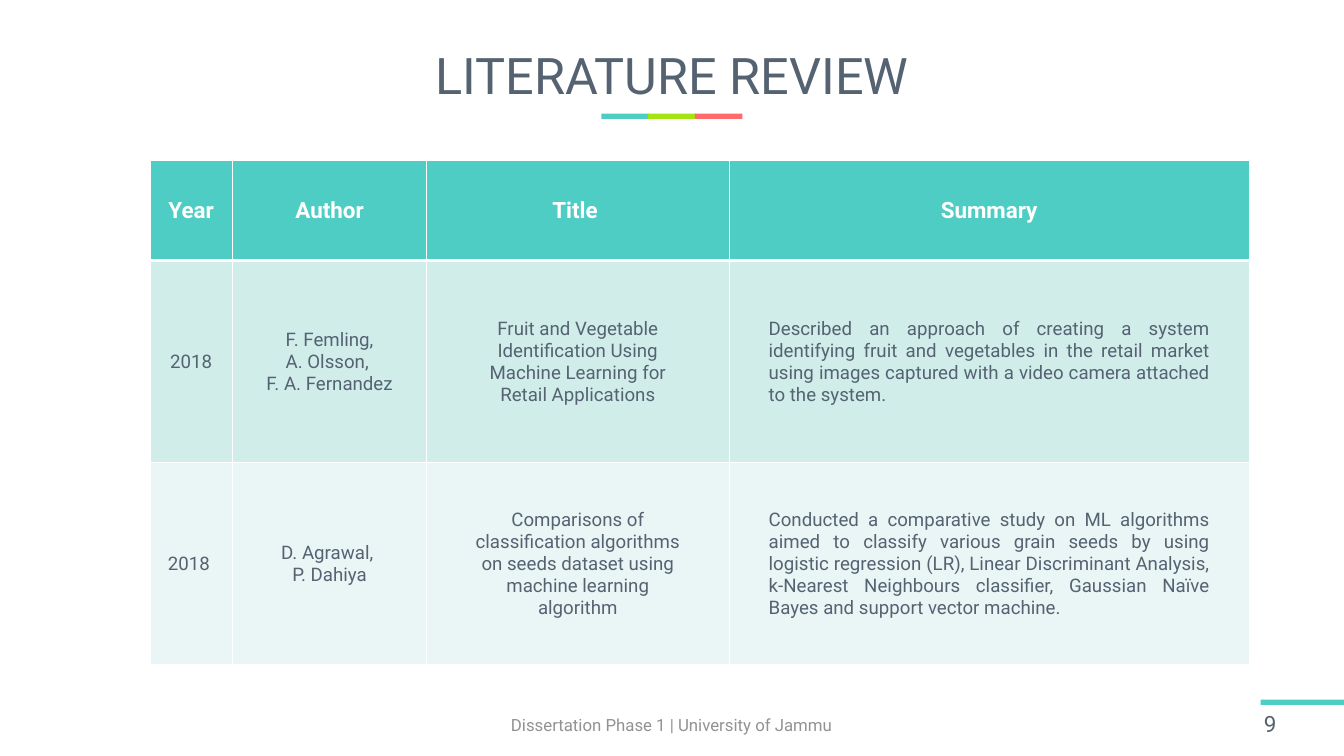
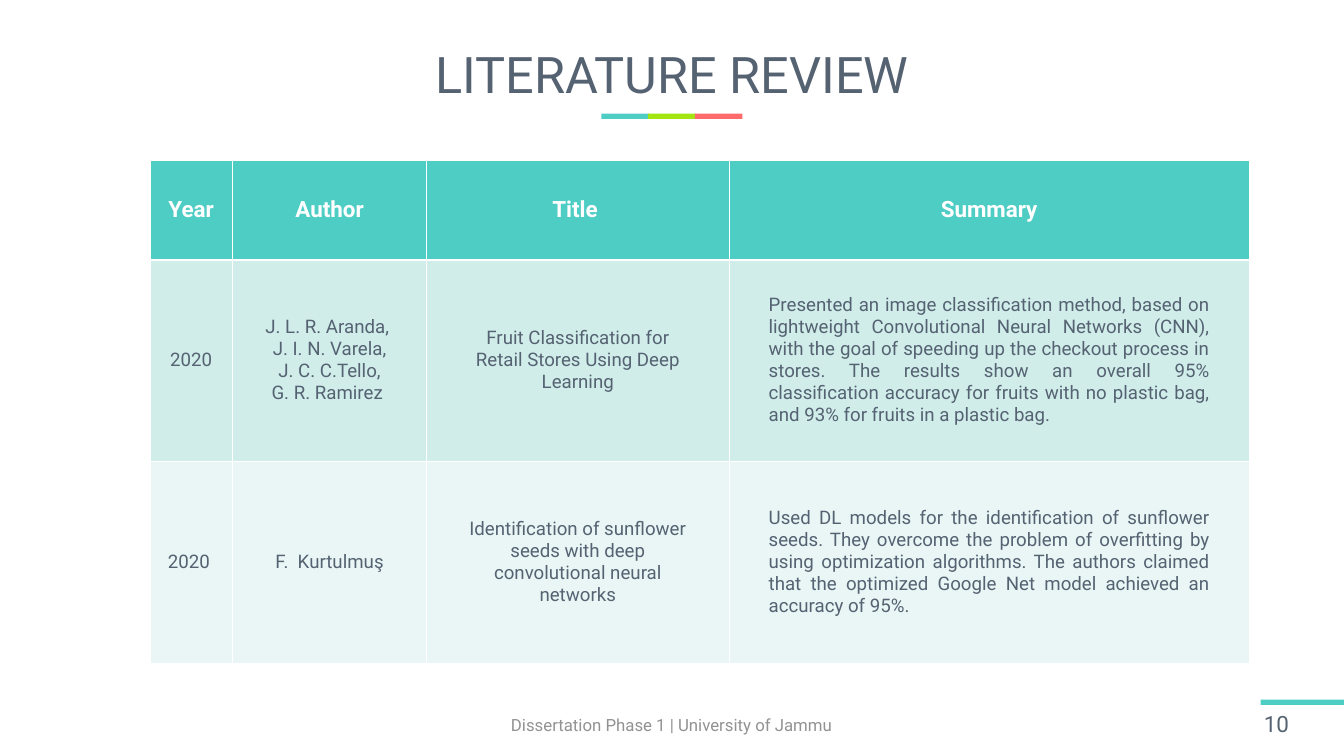
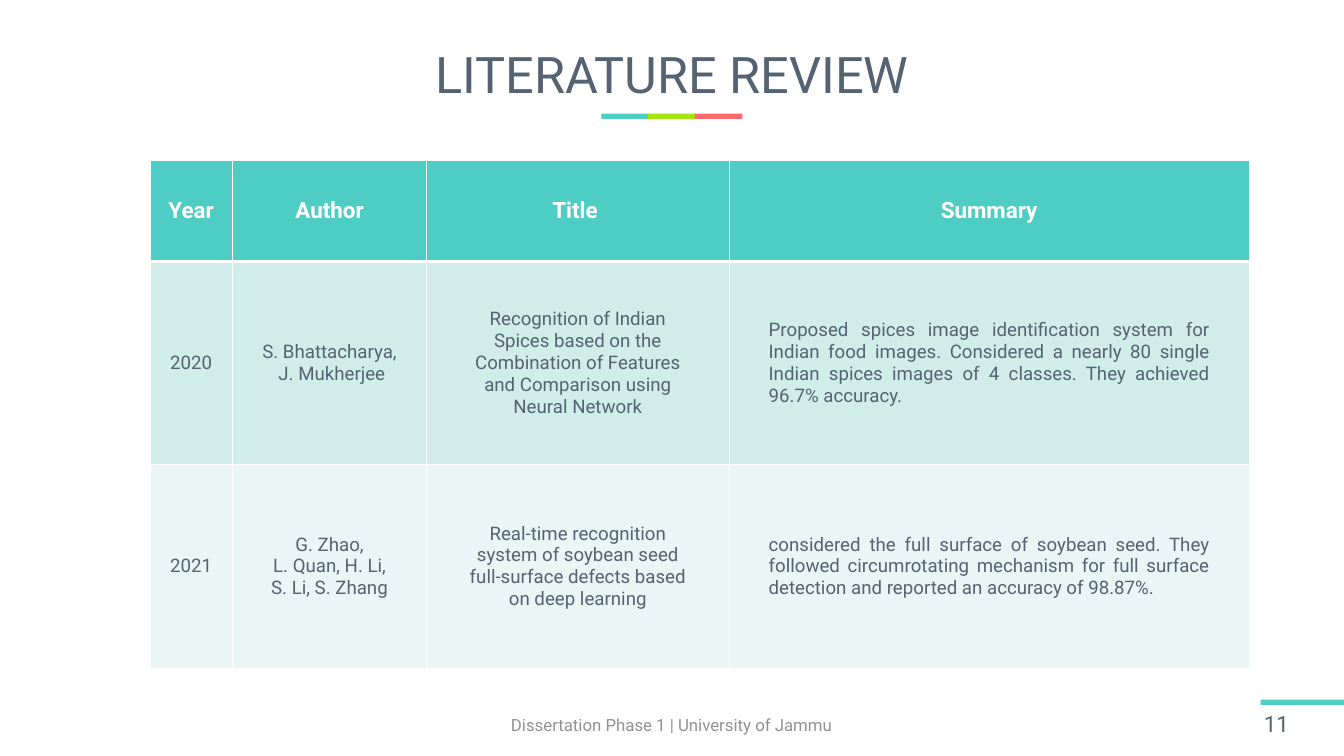
import pptx
import pptx.dml.color
import pptx.enum.shapes
import pptx.enum.text
import pptx.oxml
import pptx.oxml.ns
import pptx.util

Pt = pptx.util.Pt
ALIGN = pptx.enum.text.PP_ALIGN
MIDDLE = pptx.enum.text.MSO_ANCHOR.MIDDLE
TEAL, LIME, CORAL = "4ECDC4", "A3E511", "FF6B6B"
SLATE, GREY, WHITE = "556272", "929292", "FFFFFF"
ROW_FILLS = [TEAL, "D0EDEA", "E9F6F5"]

# Text styles: font values, colour and paragraph values
STYLES = {
    "title": ({"size": Pt(54)}, SLATE, {"alignment": ALIGN.CENTER, "line_spacing": 0.9}),
    "footer": ({"size": Pt(18)}, GREY, {"alignment": ALIGN.CENTER}),
    "number": ({"size": Pt(24)}, SLATE, {"alignment": ALIGN.LEFT}),
    "heading": ({"size": Pt(24), "bold": True}, WHITE, {"alignment": ALIGN.CENTER}),
    "entry": ({"size": Pt(20), "bold": False}, SLATE, {"alignment": ALIGN.CENTER}),
    "summary": ({"size": Pt(20), "bold": False}, SLATE, {"alignment": ALIGN.JUSTIFY}),
}

# Bands on every slide: left, top, width, height, colour
BANDS = [(644.4 + 50 * i, 121.7, 51, 5.8, band_colour)
         for i, band_colour in enumerate([TEAL, LIME, CORAL])]
BANDS.append((1350.7, 749.5, 89.3, 5.8, TEAL))

COLUMN_WIDTHS = [88.5, 208, 324, 557.5]
HEADINGS = ["Year", "Author", "Title ", "Summary"]

# Reviews: page number, title top, row heights, studies
REVIEWS = [
    (9, 33.8, [107.2, 216.5, 216.5], [
        ["2018",
         "F. Femling,\nA. Olsson, \nF. A. Fernandez",
         "Fruit and Vegetable Identification Using Machine Learning for Retail Applications",
         "Described an approach of creating a system identifying fruit and vegetables in the "
         "retail market using images captured with a video camera attached to the system."],
        ["2018 ",
         "D. Agrawal, \nP. Dahiya",
         "Comparisons of classification algorithms on seeds dataset using machine learning "
         "algorithm",
         "Conducted a comparative study on ML algorithms aimed to classify various grain seeds "
         "by using logistic regression (LR), Linear Discriminant Analysis, k-Nearest Neighbours "
         "classifier, Gaussian Naïve Bayes and support vector machine."],
    ]),
    (10, 32.4, [106.3, 215.5, 217.3], [
        ["2020",
         "J. L. R. Aranda, \nJ. I. N. Varela,\n J. C. C.Tello, \nG. R. Ramirez ",
         "Fruit Classification for Retail Stores Using Deep Learning",
         "Presented an image classification method, based on lightweight Convolutional Neural "
         "Networks (CNN), with the goal of speeding up the checkout process in stores. The "
         "results show an overall 95% classification accuracy for fruits with no plastic bag, "
         "and 93% for fruits in a plastic bag."],
        ["2020 ",
         "F.  Kurtulmuş",
         "Identification of sunflower seeds with deep convolutional neural networks",
         "Used DL models for the identification of sunflower seeds. They overcome the problem "
         "of overfitting by using optimization algorithms. The authors claimed that the "
         "optimized Google Net model achieved an accuracy of 95%."],
    ]),
    (11, 32.4, [108, 218, 218], [
        ["2020",
         "S. Bhattacharya,\n J. Mukherjee",
         "Recognition of Indian Spices based on the Combination of Features and Comparison "
         "using Neural Network",
         "Proposed spices image identification system for Indian food images. Considered a "
         "nearly 80 single Indian spices images of 4 classes. They achieved 96.7% accuracy."],
        ["2021",
         "G. Zhao,\nL. Quan, H. Li,\nS. Li, S. Zhang",
         "Real-time recognition system of soybean seed full-surface defects based on deep "
         "learning",
         "considered the full surface of soybean seed. They followed circumrotating mechanism "
         "for full surface detection and reported an accuracy of 98.87%."],
    ]),
]


def colour(hex_value):
    return pptx.dml.color.RGBColor.from_string(hex_value)


def write(frame, text, style):
    font_values, text_colour, paragraph_values = STYLES[style]
    frame.word_wrap = True
    frame.text = text
    for paragraph in frame.paragraphs:
        for name, value in paragraph_values.items():
            setattr(paragraph, name, value)
        for run in paragraph.runs:
            run.font.name = "Roboto"
            run.font.color.rgb = colour(text_colour)
            for name, value in font_values.items():
                setattr(run.font, name, value)


deck = pptx.Presentation()
deck.slide_width, deck.slide_height = Pt(1440), Pt(810)

for page, title_top, row_heights, studies in REVIEWS:
    slide = deck.slides.add_slide(deck.slide_layouts[6])

    # Title underline and page number band
    for *place, band_colour in BANDS:
        band = slide.shapes.add_shape(pptx.enum.shapes.MSO_SHAPE.RECTANGLE, *map(Pt, place))
        band.shadow.inherit = False
        band.fill.solid()
        band.fill.fore_color.rgb = colour(band_colour)
        band.line.fill.background()

    # Title, footer and page number
    for style, text, place in [
        ("title", "LITERATURE REVIEW", (37.4, title_top, 1365.2, 100.8)),
        ("footer", "Dissertation Phase 1 | University of Jammu", (476.6, 754.6, 486, 43.2)),
        ("number", str(page), (1347, 756, 93, 38.2)),
    ]:
        frame = slide.shapes.add_textbox(*map(Pt, place)).text_frame
        frame.vertical_anchor = MIDDLE
        write(frame, text, style)

    # Table of studies
    review = slide.shapes.add_table(3, 4, Pt(160.6), Pt(172.1), Pt(sum(COLUMN_WIDTHS)),
                                    Pt(sum(row_heights))).table
    review.horz_banding = False
    for column, width in zip(review.columns, COLUMN_WIDTHS):
        column.width = Pt(width)
    for r, texts in enumerate([HEADINGS] + studies):
        review.rows[r].height = Pt(row_heights[r])
        for c, text in enumerate(texts):
            cell = review.cell(r, c)
            cell.vertical_anchor = MIDDLE
            cell.fill.solid()
            cell.fill.fore_color.rgb = colour(ROW_FILLS[r])
            if r and c >= 2:
                cell.margin_left = cell.margin_right = Pt(42.5)
            write(cell.text_frame, text,
                  "heading" if r == 0 else "summary" if c == 3 else "entry")

            # White borders, thicker between the headings and the studies
            for i, side in enumerate(["lnL", "lnR", "lnT", "lnB"]):
                thick = (r, side) in [(0, "lnB"), (1, "lnT")]
                cell._tc.get_or_add_tcPr().insert(i, pptx.oxml.parse_xml(
                    f'<a:{side} {pptx.oxml.ns.nsdecls("a")} w="{Pt(3 if thick else 1)}">'
                    f'<a:solidFill><a:srgbClr val="{WHITE}"/></a:solidFill></a:{side}>'))

deck.save("out.pptx")
